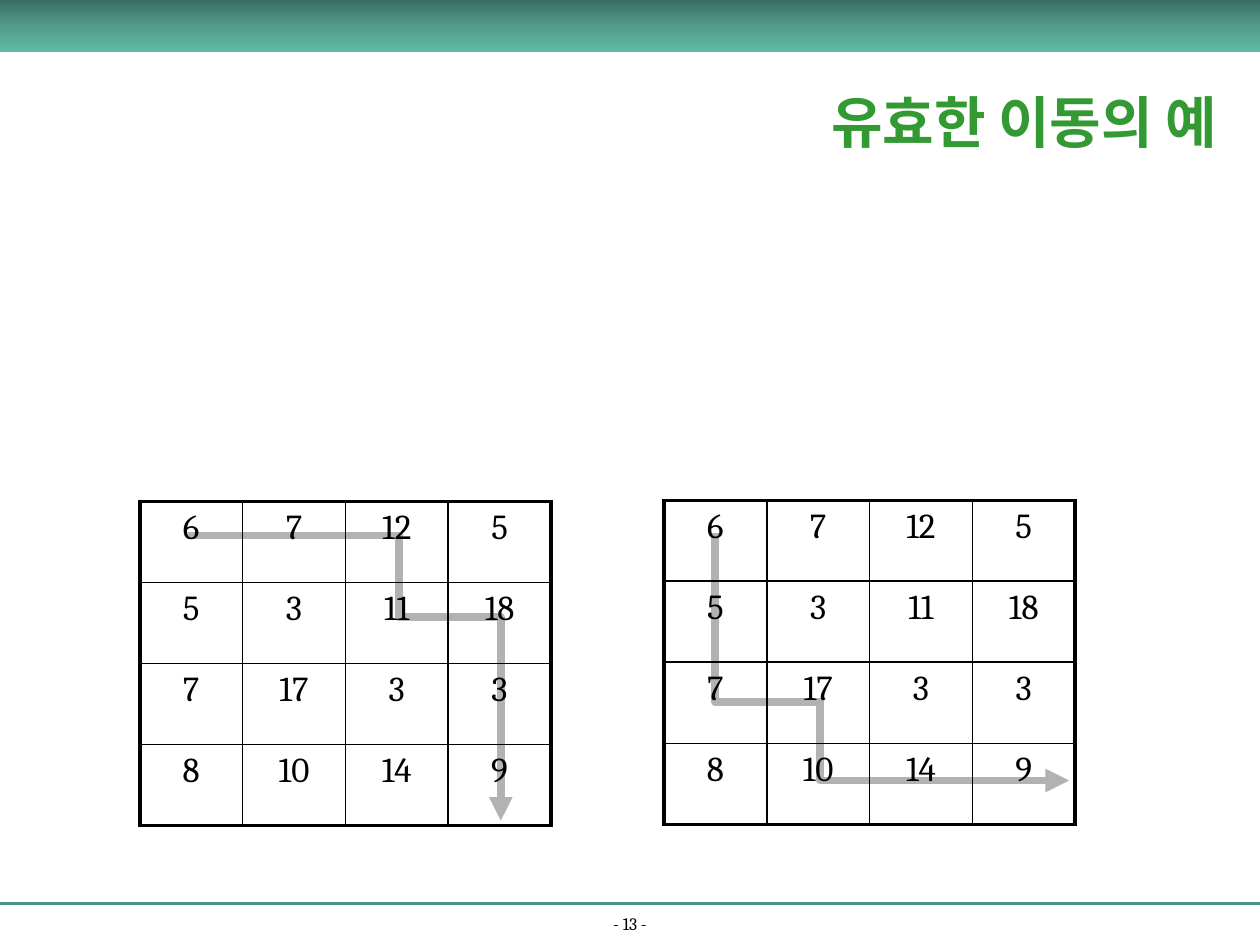
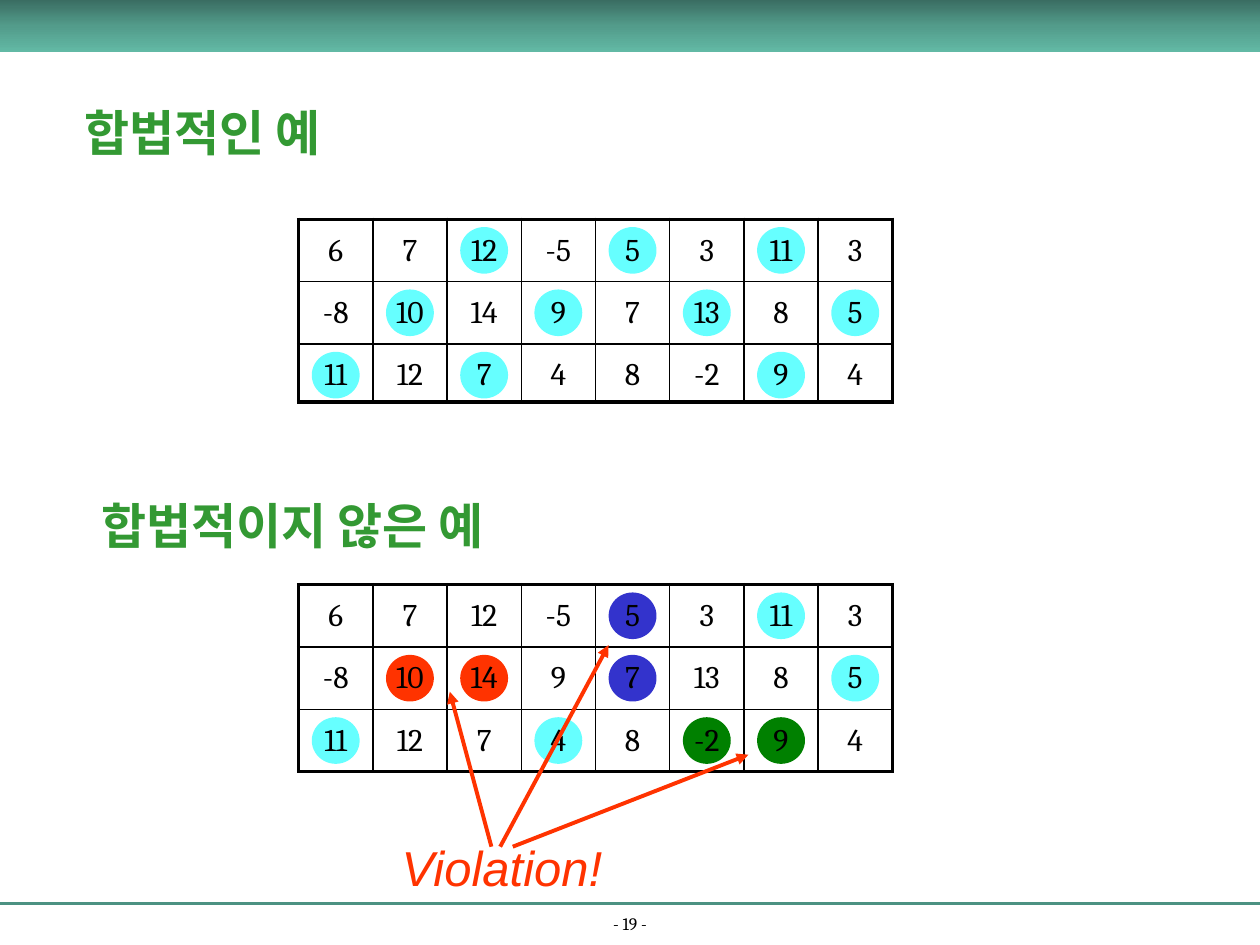
from copy import deepcopy
from dataclasses import dataclass, field
from itertools import pairwise
from typing import Any

from lxml.etree import SubElement
from pptx import Presentation
from pptx.dml.color import RGBColor
from pptx.enum.shapes import MSO_CONNECTOR, MSO_SHAPE
from pptx.enum.text import MSO_ANCHOR, MSO_AUTO_SIZE, PP_ALIGN
from pptx.oxml.ns import qn
from pptx.util import Inches, Pt

COLORS = {
    "black": "000000", "heading": "339933", "rule": "4C9282", "route": "B2B2B2",
    "band_top": "3A6D62", "band_middle": "539C8B", "band_bottom": "62B9A5",
    "pebble": "66FFFF", "red": "FF3300", "blue": "3333CC", "green": "008000",
}
SLIDE_WIDTH, SLIDE_HEIGHT = Inches(10), Inches(7.5)
COLUMN, ROW = SLIDE_WIDTH / 100, SLIDE_HEIGHT / 75
RULE_ROW = 71.7
PEBBLE_WIDTH, PEBBLE_HEIGHT = 3.8, 3.7
THIN, THICK = 1, 2.25

HEADING = {"name": "Cambria", "size": Pt(28), "bold": True}
LARGE_HEADING = HEADING | {"size": Pt(32)}
FOOTER = {"name": "Cambria", "size": Pt(10)}
WARNING = {"name": "Arial", "size": Pt(28), "italic": True}
MATRIX_TEXT = {"name": "Cambria", "size": Pt(20)}
PEBBLE_TEXT = {"name": "Cambria", "size": Pt(18)}
CENTERED = {"alignment": PP_ALIGN.CENTER}
SPACED = CENTERED | {"line_spacing": 1.2}
MIDDLE_FRAME = {"vertical_anchor": MSO_ANCHOR.MIDDLE, "word_wrap": True,
                "auto_size": MSO_AUTO_SIZE.NONE}
BOTTOM_FRAME = MIDDLE_FRAME | {"vertical_anchor": MSO_ANCHOR.BOTTOM}
LOOSE_FRAME = {"word_wrap": False}

Point = tuple[float, float]


@dataclass(frozen=True)
class Box:
    left: float
    top: float
    width: float
    height: float

    def lengths(self) -> tuple[int, int, int, int]:
        return (round(self.left * COLUMN), round(self.top * ROW),
                round(self.width * COLUMN), round(self.height * ROW))


@dataclass(frozen=True)
class NumberGrid:
    left: float
    top: float
    column_width: float
    row_heights: tuple[float, ...]
    values: tuple[tuple[int, ...], ...]
    font: dict[str, Any]
    paragraph: dict[str, Any]

    def box(self) -> Box:
        return Box(self.left, self.top, self.column_width * len(self.values[0]),
                   sum(self.row_heights))

    def position(self, column: float, row: float) -> Point:
        return self.left + column * self.column_width, self.top + row * self.row_heights[0]


@dataclass(frozen=True)
class Route:
    grid: NumberGrid
    turns: tuple[Point, ...]


@dataclass(frozen=True)
class PebbleBoard:
    grid: NumberGrid
    pebbles: dict[str, tuple[tuple[int, int], ...]] = field(default_factory=dict)


MATRIX = ((6, 7, 12, 5), (5, 3, 11, 18), (7, 17, 3, 3), (8, 10, 14, 9))
PEBBLE_VALUES = (
    (6, 7, 12, -5, 5, 3, 11, 3),
    (-8, 10, 14, 9, 7, 13, 8, 5),
    (11, 12, 7, 4, 8, -2, 9, 4),
)


def matrix_grid(left: float, top: float) -> NumberGrid:
    return NumberGrid(left, top, 8.16, (6.43,) * 4, MATRIX, MATRIX_TEXT, CENTERED)


def pebble_grid(top: float, last_height: float) -> NumberGrid:
    return NumberGrid(23.7, top, 5.89, (4.95, 4.95, last_height),
                      PEBBLE_VALUES, PEBBLE_TEXT, SPACED)


ROUTES = (
    Route(matrix_grid(52.7, 39.7),
          ((0.5, 0.4), (0.5, 2.49), (1.52, 2.49), (1.52, 3.46), (3.94, 3.46))),
    Route(matrix_grid(11.1, 39.8),
          ((0.47, 0.42), (2.52, 0.42), (2.52, 1.43), (3.51, 1.43), (3.51, 3.94))),
)
BOARDS = (
    PebbleBoard(pebble_grid(17.4, 4.6), {
        "pebble": ((2, 0), (4, 0), (6, 0), (1, 1), (3, 1), (5, 1), (7, 1),
                   (0, 2), (2, 2), (6, 2)),
    }),
    PebbleBoard(pebble_grid(46.4, 4.95), {
        "pebble": ((6, 0), (7, 1), (0, 2), (3, 2)),
        "red": ((1, 1), (2, 1)),
        "blue": ((4, 0), (4, 1)),
        "green": ((5, 2), (6, 2)),
    }),
)
VIOLATION_ARROWS = (
    ((39, 67.2), (35.7, 54.9)),
    ((39.7, 67.2), (48.3, 51.2)),
    ((40.7, 67.2), (59.4, 59.9)),
)


def color(name: str) -> RGBColor:
    return RGBColor.from_string(COLORS[name])


def apply_format(target: Any, values: dict[str, Any]) -> None:
    for name, value in values.items():
        setattr(target, name, value)


def write_text(frame: Any, text: str, font: dict[str, Any], color_name: str,
               paragraph_format: dict[str, Any]) -> None:
    frame.text = text
    paragraph = frame.paragraphs[0]
    apply_format(paragraph, paragraph_format)
    run_font = paragraph.runs[0].font
    apply_format(run_font, font)
    run_font.color.rgb = color(color_name)


def add_text(slide: Any, box: Box, text: str, font: dict[str, Any], color_name: str,
             frame_format: dict[str, Any], paragraph_format: dict[str, Any]) -> None:
    frame = slide.shapes.add_textbox(*box.lengths()).text_frame
    apply_format(frame, frame_format)
    write_text(frame, text, font, color_name, paragraph_format)


def set_title(slide: Any, box: Box, text: str, font: dict[str, Any]) -> None:
    title = slide.shapes.title
    apply_format(title, dict(zip(("left", "top", "width", "height"), box.lengths())))
    apply_format(title.text_frame, MIDDLE_FRAME)
    write_text(title.text_frame, text, font, "heading", CENTERED)


def style_line(shape: Any, color_name: str, width: float, arrow: bool) -> None:
    shape.line.color.rgb = color(color_name)
    shape.line.width = Pt(width)
    if arrow:
        SubElement(shape.element.spPr.find(qn("a:ln")), qn("a:tailEnd"), type="triangle")


def add_line(slide: Any, start: Point, end: Point, color_name: str, width: float,
             arrow: bool = False) -> None:
    lengths = [round(share * unit) for point in (start, end)
               for share, unit in zip(point, (COLUMN, ROW))]
    line = slide.shapes.add_connector(MSO_CONNECTOR.STRAIGHT, *lengths)
    style_line(line, color_name, width, arrow)
    SubElement(line.element.spPr, qn("a:effectLst"))


def add_plain_shape(slide: Any, kind: MSO_SHAPE, box: Box) -> Any:
    shape = slide.shapes.add_shape(kind, *box.lengths())
    shape.shadow.inherit = False
    shape.line.fill.background()
    return shape


def add_band(slide: Any) -> None:
    fill = add_plain_shape(slide, MSO_SHAPE.RECTANGLE, Box(0, 0, 100, 4.15)).fill
    fill.gradient()
    fill.gradient_angle = 270
    first_stop = slide.shapes[-1].element.spPr.find(qn("a:gradFill")).find(qn("a:gsLst"))[0]
    first_stop.addnext(deepcopy(first_stop))
    names = ("band_top", "band_middle", "band_bottom")
    for stop, name, position in zip(fill.gradient_stops, names, (0, 0.5, 1)):
        stop.color.rgb = color(name)
        stop.position = position


def add_base_slide(presentation: Any, number: int) -> Any:
    slide = presentation.slides.add_slide(presentation.slide_layouts[5])
    add_line(slide, (0, RULE_ROW), (100, RULE_ROW), "rule", 1.5)
    add_text(slide, Box(0, 72.4, 100, 2.2), f"- {number} -", FOOTER, "black",
             BOTTOM_FRAME, CENTERED)
    add_band(slide)
    return slide


def set_border(cell: Any, side: str, width: float) -> None:
    border = SubElement(cell._tc.get_or_add_tcPr(), qn(f"a:{side}"), w=str(Pt(width)))
    fill = SubElement(border, qn("a:solidFill"))
    SubElement(fill, qn("a:srgbClr"), val=COLORS["black"])


def add_number_table(slide: Any, grid: NumberGrid) -> None:
    row_count, column_count = len(grid.values), len(grid.values[0])
    table = slide.shapes.add_table(row_count, column_count, *grid.box().lengths()).table
    apply_format(table, {"first_row": False, "horz_banding": False})
    for column in table.columns:
        column.width = round(grid.column_width * COLUMN)
    for row_index, (row, height) in enumerate(zip(table.rows, grid.row_heights)):
        row.height = round(height * ROW)
        for column_index, cell in enumerate(row.cells):
            write_text(cell.text_frame, str(grid.values[row_index][column_index]),
                       grid.font, "black", grid.paragraph)
            outer_sides = {
                "lnL": column_index == 0,
                "lnR": column_index == column_count - 1,
                "lnT": row_index == 0,
                "lnB": row_index == row_count - 1,
            }
            for side, is_outer in outer_sides.items():
                set_border(cell, side, THICK if is_outer else THIN)
            cell.fill.background()


def add_route(slide: Any, route: Route) -> None:
    points = [(round(left * COLUMN), round(top * ROW))
              for left, top in (route.grid.position(*turn) for turn in route.turns)]
    builder = slide.shapes.build_freeform(*points[0])
    builder.add_line_segments(points[1:], close=False)
    shape = builder.convert_to_shape()
    shape.fill.background()
    style_line(shape, "route", 4.5, True)
    shape.shadow.inherit = False


def add_board(slide: Any, board: PebbleBoard) -> None:
    for color_name, cells in board.pebbles.items():
        for column, row in cells:
            center_x, center_y = board.grid.position(column + 0.5, row + 0.5)
            box = Box(center_x - PEBBLE_WIDTH / 2, center_y - PEBBLE_HEIGHT / 2,
                      PEBBLE_WIDTH, PEBBLE_HEIGHT)
            fill = add_plain_shape(slide, MSO_SHAPE.OVAL, box).fill
            fill.solid()
            fill.fore_color.rgb = color(color_name)
    add_number_table(slide, board.grid)


def add_valid_moves(presentation: Any) -> None:
    slide = add_base_slide(presentation, 13)
    set_title(slide, Box(62.6, 4, 37.4, 11.2), "유효한 이동의 예", LARGE_HEADING)
    for route in ROUTES:
        add_route(slide, route)
        add_number_table(slide, route.grid)


def add_pebble_examples(presentation: Any) -> None:
    slide = add_base_slide(presentation, 19)
    set_title(slide, Box(2.1, 6, 27.9, 9), "합법적인 예", HEADING)
    add_text(slide, Box(3.6, 37.2, 39.2, 9), "합법적이지 않은 예", HEADING, "heading",
             MIDDLE_FRAME, CENTERED)
    for board in BOARDS:
        add_board(slide, board)
    add_text(slide, Box(30.9, 66, 18, 5.7), "Violation!", WARNING, "red", LOOSE_FRAME, {})
    for start, end in VIOLATION_ARROWS:
        add_line(slide, start, end, "red", 2.25, True)


def main() -> None:
    presentation = Presentation()
    apply_format(presentation, {"slide_width": SLIDE_WIDTH, "slide_height": SLIDE_HEIGHT})
    add_valid_moves(presentation)
    add_pebble_examples(presentation)
    presentation.save("out.pptx")


if __name__ == "__main__":
    main()
